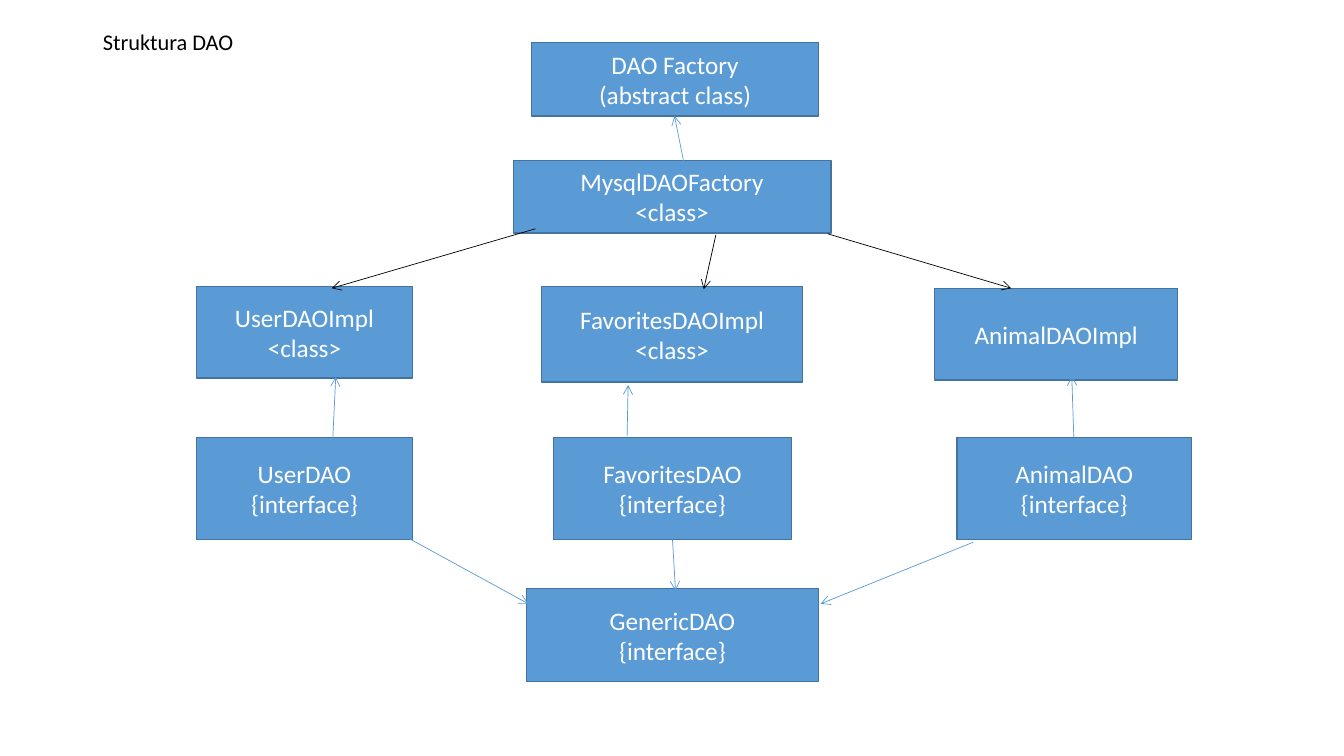
import pptx
import pptx.dml.color
import pptx.enum.shapes
import pptx.enum.text
import pptx.oxml
import pptx.oxml.ns
import pptx.util

Inches = pptx.util.Inches
Pt = pptx.util.Pt

FONT = "Calibri"
BLUE, DARK_BLUE, BLACK, WHITE = "5B9BD5", "43739E", "000000", "FFFFFF"

TITLE_BOX = (0.92, 0.02, 11.5, 0.82)
CLASSES = {
    "DAO Factory": ("(abstract class)", (5.27, 0.42, 2.85, 0.73)),
    "MysqlDAOFactory": ("<class>", (5.09, 1.59, 3.15, 0.72)),
    "UserDAOImpl": ("<class>", (1.95, 2.84, 2.14, 0.91)),
    "FavoritesDAOImpl": ("<class>", (5.37, 2.84, 2.59, 0.95)),
    "AnimalDAOImpl": ("", (9.27, 2.86, 2.41, 0.91)),
    "UserDAO": ("{interface}", (1.95, 4.34, 2.14, 1.01)),
    "FavoritesDAO": ("{interface}", (5.49, 4.34, 2.36, 1.01)),
    "AnimalDAO": ("{interface}", (9.49, 4.34, 2.33, 1.01)),
    "GenericDAO": ("{interface}", (5.22, 5.84, 2.9, 0.92)),
}
RELATIONS = [
    ("UserDAO", (1.92, 0.9), "GenericDAO", (0.02, 0.15), BLUE),
    ("FavoritesDAO", (1.18, 1.01), "GenericDAO", (1.48, 0.02), BLUE),
    ("AnimalDAO", (0.16, 1.04), "GenericDAO", (2.92, 0.15), BLUE),
    ("AnimalDAO", (1.16, 0), "AnimalDAOImpl", (1.36, 0.87), BLUE),
    ("FavoritesDAO", (0.73, -0.01), "FavoritesDAOImpl", (0.86, 0.98), BLUE),
    ("UserDAO", (1.35, 0.02), "UserDAOImpl", (1.38, 0.9), BLUE),
    ("MysqlDAOFactory", (1.7, 0.06), "DAO Factory", (1.42, 0.73), BLUE),
    ("MysqlDAOFactory", (0.22, 0.68), "UserDAOImpl", (1.34, 0.02), BLACK),
    ("MysqlDAOFactory", (2.01, 0.74), "FavoritesDAOImpl", (1.61, 0.03), BLACK),
    ("MysqlDAOFactory", (3.12, 0.73), "AnimalDAOImpl", (0.76, 0), BLACK),
]


def rgb(color):
    return pptx.dml.color.RGBColor.from_string(color)


def format_text(frame, size, color, align):
    frame.word_wrap = True
    frame.auto_size = pptx.enum.text.MSO_AUTO_SIZE.NONE
    frame.vertical_anchor = pptx.enum.text.MSO_ANCHOR.MIDDLE
    for paragraph in frame.paragraphs:
        paragraph.alignment = align
        for run in paragraph.runs:
            run.font.name = FONT
            run.font.size = Pt(size)
            run.font.color.rgb = rgb(color)


def place_title(slide, box, wording):
    title = slide.shapes.title
    title.left, title.top, title.width, title.height = map(Inches, box)
    title.text_frame.text = wording
    format_text(title.text_frame, 16, BLACK, pptx.enum.text.PP_ALIGN.LEFT)
    title.text_frame.paragraphs[0].line_spacing = 0.9


def place_class(slide, box, name, kind):
    process = pptx.enum.shapes.MSO_SHAPE.FLOWCHART_PROCESS
    node = slide.shapes.add_shape(process, *map(Inches, box))
    node.shadow.inherit = False
    node.fill.solid()
    node.fill.fore_color.rgb = rgb(BLUE)
    node.line.color.rgb = rgb(DARK_BLUE)
    node.line.width = Pt(1)
    node.text_frame.text = f"{name}\n{kind}" if kind else name
    format_text(node.text_frame, 18, WHITE, pptx.enum.text.PP_ALIGN.CENTER)


def place_relation(slide, source_box, source_offset, target_box, target_offset, color):
    start = [Inches(edge + offset) for edge, offset in zip(source_box, source_offset)]
    end = [Inches(edge + offset) for edge, offset in zip(target_box, target_offset)]
    straight = pptx.enum.shapes.MSO_CONNECTOR.STRAIGHT
    relation = slide.shapes.add_connector(straight, *start, *end)
    relation.line.color.rgb = rgb(color)
    relation.line.width = Pt(0.5)
    namespace = pptx.oxml.ns.nsdecls("a")
    arrowhead = pptx.oxml.parse_xml(f'<a:tailEnd {namespace} type="arrow"/>')
    relation.line._get_or_add_ln().append(arrowhead)
    no_shadow = pptx.oxml.parse_xml(f"<a:effectLst {namespace}/>")
    relation._element.spPr.append(no_shadow)


def place_diagram(slide):
    for name, (kind, box) in CLASSES.items():
        place_class(slide, box, name, kind)
    for source, source_offset, target, target_offset, color in RELATIONS:
        source_box, target_box = CLASSES[source][1], CLASSES[target][1]
        place_relation(slide, source_box, source_offset, target_box, target_offset, color)


def main():
    presentation = pptx.Presentation()
    presentation.slide_width = Inches(13.33)
    presentation.slide_height = Inches(7.5)
    slide = presentation.slides.add_slide(presentation.slide_layouts[5])
    slide.background.fill.solid()
    slide.background.fill.fore_color.rgb = rgb(WHITE)
    place_title(slide, TITLE_BOX, "Struktura DAO")
    place_diagram(slide)
    presentation.save("out.pptx")


if __name__ == "__main__":
    main()
